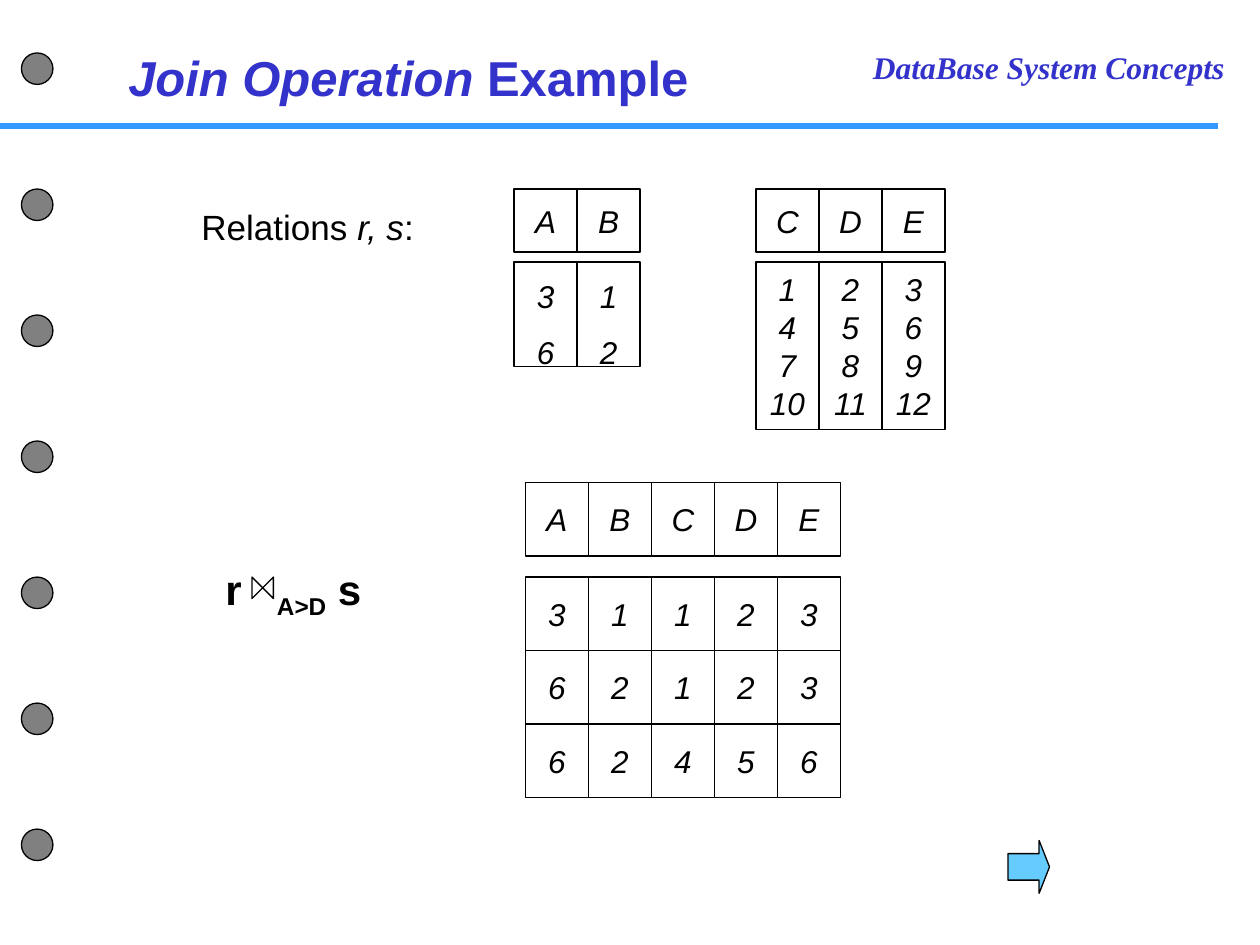
from lxml import etree
from pptx import Presentation
from pptx import util as u
from pptx.dml.color import RGBColor
from pptx.enum import shapes, text
from pptx.oxml import ns

BLACK = RGBColor(0x00, 0x00, 0x00)
WHITE = RGBColor(0xFF, 0xFF, 0xFF)
GRAY = RGBColor(0x80, 0x80, 0x80)
HEADING = RGBColor(0x33, 0x33, 0xCC)
RULE = RGBColor(0x33, 0x99, 0xFF)
ARROW = RGBColor(0x66, 0xCC, 0xFF)

COLUMN = 0.5        # width of every relation column
ROW = 7 / 12        # row height of the join result


class SlideBuilder:
    """Holds the slide and its style."""

    font = "Arial"
    cell_size = 18
    outline = 0.75

    def __init__(self, slide):
        self.slide = slide

    def style(self, paragraph, size, color=BLACK, font=None, bold=False, italic=None):
        face = paragraph.font
        face.name = font or self.font
        face.size = u.Pt(size)
        face.bold = bold
        face.italic = italic
        face.color.rgb = color

    def rule(self, x1, x2, y, color, width):
        line = self.slide.shapes.add_connector(
            shapes.MSO_CONNECTOR.STRAIGHT,
            u.Inches(x1), u.Inches(y), u.Inches(x2), u.Inches(y))
        line.line.color.rgb = color
        line.line.width = u.Pt(width)
        etree.SubElement(line._element.spPr, ns.qn("a:effectLst"))

    def shape(self, kind, x, y, width, height, fill=WHITE):
        shape = self.slide.shapes.add_shape(
            kind, u.Inches(x), u.Inches(y), u.Inches(width), u.Inches(height))
        shape.shadow.inherit = False
        shape.fill.solid()
        shape.fill.fore_color.rgb = fill
        shape.line.color.rgb = BLACK
        shape.line.width = u.Pt(self.outline)
        return shape

    def label(self, x, y, width, height, runs, size, tab=None, **style):
        """Add one line of text; each run is (text, italic, baseline)."""
        box = self.slide.shapes.add_textbox(
            u.Inches(x), u.Inches(y), u.Inches(width), u.Inches(height))
        frame = box.text_frame
        frame.word_wrap = True
        frame.margin_right = 0
        paragraph = frame.paragraphs[0]
        if tab:
            stops = etree.SubElement(paragraph._p.get_or_add_pPr(), ns.qn("a:tabLst"))
            etree.SubElement(stops, ns.qn("a:tab"), pos=str(u.Inches(tab)), algn="l")
        self.style(paragraph, size, **style)
        for words, italic, baseline in runs:
            run = paragraph.add_run()
            run.text = words
            if italic:
                run.font.italic = True
            if baseline:
                run._r.get_or_add_rPr().set("baseline", str(baseline))

    def cells(self, x, y, height, columns, spacing=None):
        """Add side-by-side cells; each holds its values one per line."""
        for i, values in enumerate(columns):
            cell = self.shape(shapes.MSO_SHAPE.RECTANGLE,
                              x + i * COLUMN, y, COLUMN, height)
            frame = cell.text_frame
            frame.word_wrap = False
            frame.vertical_anchor = text.MSO_ANCHOR.MIDDLE
            frame.text = "\n".join(values.split())
            for paragraph in frame.paragraphs:
                paragraph.alignment = text.PP_ALIGN.CENTER
                if spacing:
                    paragraph.line_spacing = spacing
                self.style(paragraph, self.cell_size, italic=True)


def main():
    deck = Presentation()
    deck.slide_width, deck.slide_height = u.Inches(10), u.Inches(7.5)
    page = SlideBuilder(deck.slides.add_slide(deck.slide_layouts[6]))

    # Header rule and binder holes
    page.rule(0, 9.67, 1, RULE, 3)
    for hole_top in (0.42, 1.5, 2.5, 3.5, 4.58, 5.58, 6.58):
        page.shape(shapes.MSO_SHAPE.OVAL, 0.17, hole_top, 0.25, 0.25, GRAY)

    # Course name and title
    page.label(6.83, 0.33, 3.17, 0.4, [("DataBase System Concepts", False, 0)], 18,
               color=HEADING, font="Times New Roman", bold=True, italic=True)
    page.label(0.92, 0.33, 4.8, 0.57,
               [("Join Operation ", True, 0), ("Example", False, 0)], 28,
               color=HEADING, bold=True)

    # Relations r and s
    page.label(1.5, 1.58, 2.5, 0.36,
               [("Relations ", False, 0), ("r, s", True, 0), (":", False, 0)], 20)
    page.cells(4.08, 1.5, 0.5, "AB")
    page.cells(4.08, 2.08, 0.83, ["3 6", "1 2"], spacing=1.5)
    page.cells(6, 1.5, 0.5, "CDE")
    page.cells(6, 2.08, 1.33, ["1 4 7 10", "2 5 8 11", "3 6 9 12"])

    # Join expression, with the bow-tie in the tab gap
    page.label(1.69, 4.42, 1.4, 0.56,
               [("r\t", False, 0), ("A>D", False, -25000), (" s", False, 0)], 24,
               tab=0.41, bold=True)
    bow_tie = page.shape(shapes.MSO_SHAPE.FLOWCHART_COLLATE, 2, 4.58, 0.17, 0.17)
    bow_tie.rotation = 270

    # Join result
    page.cells(4.17, 3.83, ROW, "ABCDE")
    for i, row in enumerate(("31123", "62123", "62456")):
        page.cells(4.17, 4.58 + i * ROW, ROW, row)

    # Next-page arrow
    arrow = page.shape(shapes.MSO_SHAPE.RIGHT_ARROW, 8, 6.67, 0.33, 0.42, ARROW)
    arrow.adjustments[1] = 0.25

    deck.save("out.pptx")


if __name__ == "__main__":
    main()
